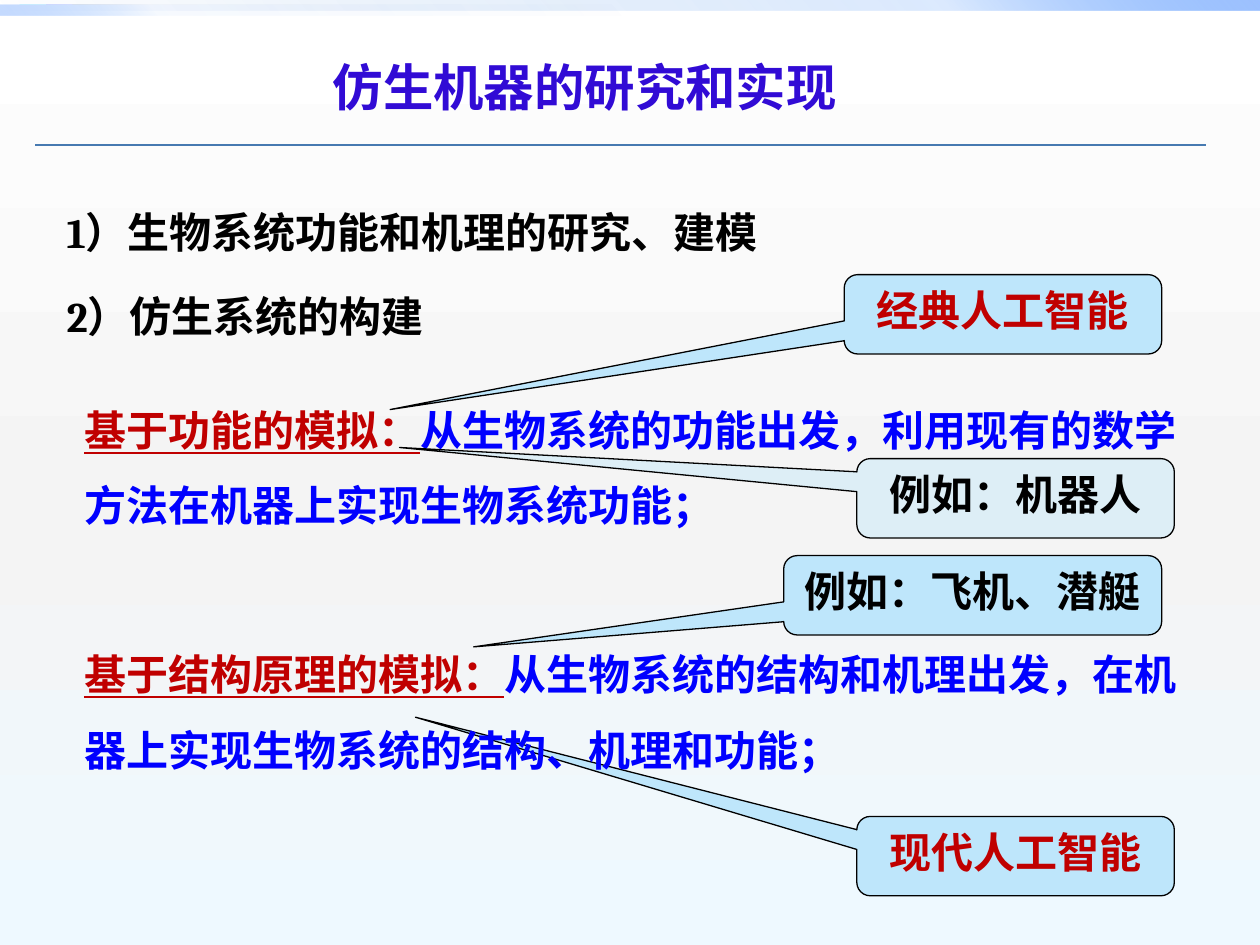
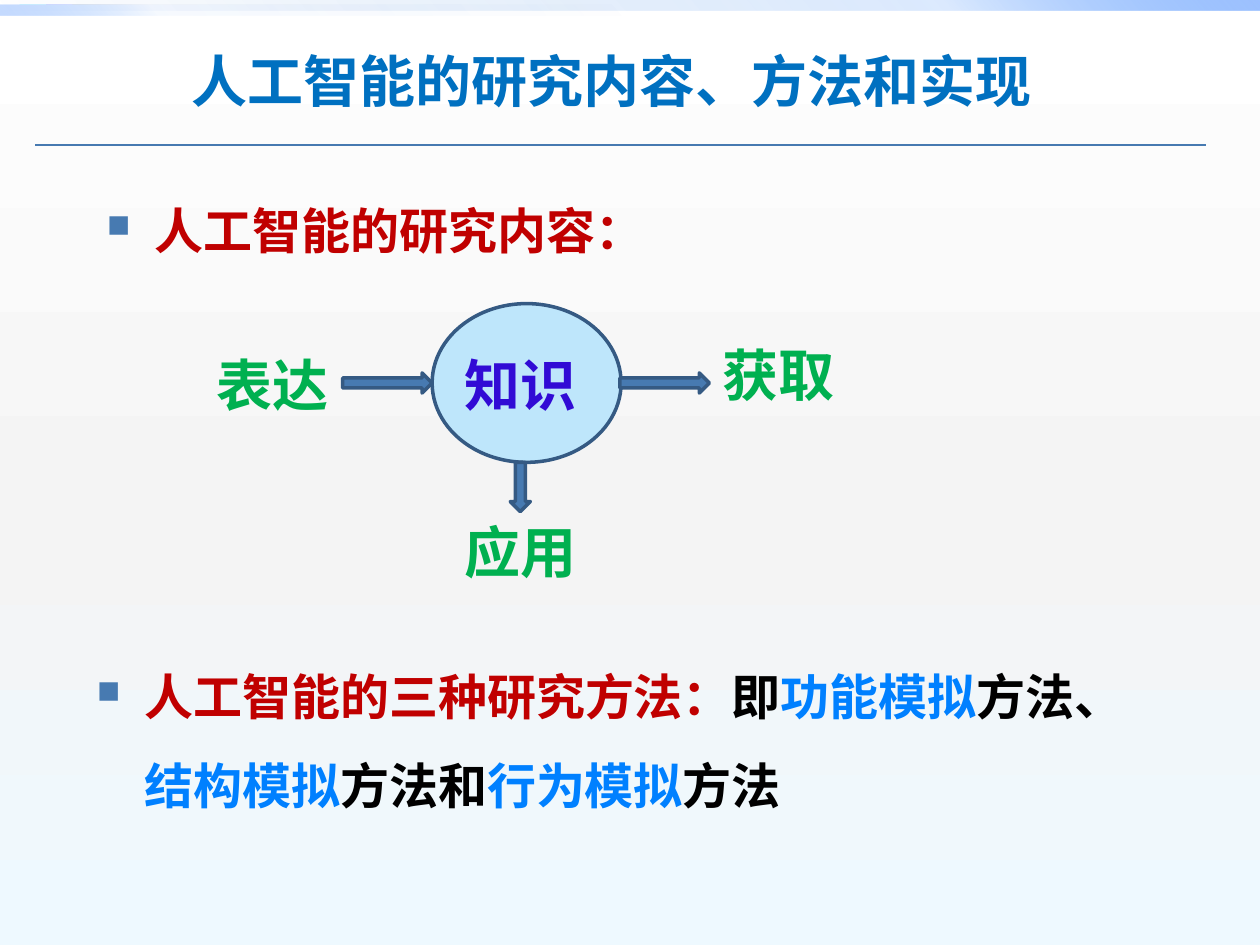
from lxml import etree
from pptx import Presentation
from pptx.dml.color import RGBColor
from pptx.enum.shapes import MSO_CONNECTOR, MSO_SHAPE
from pptx.enum.text import MSO_ANCHOR, PP_ALIGN
from pptx.oxml.ns import qn
from pptx.util import Emu, Inches, Pt

LINE = MSO_CONNECTOR.STRAIGHT
RECT = MSO_SHAPE.RECTANGLE
OVAL = MSO_SHAPE.OVAL
CALLOUT = MSO_SHAPE.ROUNDED_RECTANGULAR_CALLOUT
RIGHT_ARROW = MSO_SHAPE.RIGHT_ARROW
DOWN_ARROW = MSO_SHAPE.DOWN_ARROW
CENTER = PP_ALIGN.CENTER
TOP, MIDDLE = MSO_ANCHOR.TOP, MSO_ANCHOR.MIDDLE

COLS, ROWS = 100, 75
CELL = Inches(0.1)
INDENT = Inches(0.38)

BLACK, RED, BLUE, GREEN = "000000", "C00000", "0000FF", "00B050"
INDIGO, AZURE, SKY = "310BD5", "0070C0", "0080FF"
PALE, STEEL, NAVY = "BEE6FB", "477AB1", "355A83"
HEAD_FONT, BODY_FONT, LIST_FONT = "Noto Sans CJK SC", "Cambria", "Arial"

PAGE_STOPS = [(0, "FFFFFF", 100), (55, "F4F4F4", 100), (100, "EEF9FF", 100)]
BANDS = [
    ((0, 0, COLS, 0.8), 315, (0, 20, 100)),
    ((0, 0.4, COLS / 2, 0.8), 135, (0, 5, 60)),
]


def rgb(value):
    """Turn a hex string into a colour."""
    return RGBColor.from_string(value)


def grid(*cells):
    """Turn grid cells into lengths."""
    return [Emu(round(c * CELL)) for c in cells]


def child(parent, tag, **attrs):
    """Append a drawing element with attributes."""
    el = etree.SubElement(parent, qn(tag))
    for name, value in attrs.items():
        el.set(name, str(value))
    return el


def set_alpha(color_el, percent):
    """Give a colour element its opacity."""
    child(color_el, "a:alpha", val=percent * 1000)


def set_gradient(fill, owner, stops, angle):
    """Fill with stops of position, colour and opacity."""
    fill.gradient()
    grad = owner.find(".//" + qn("a:gradFill"))
    for old in list(grad):
        grad.remove(old)
    stop_list = child(grad, "a:gsLst")
    for pos, color, alpha in stops:
        stop = child(stop_list, "a:gs", pos=pos * 1000)
        set_alpha(child(stop, "a:srgbClr", val=color), alpha)
    child(grad, "a:lin", ang=angle * 60000, scaled=0)


def add_shape(s, kind, cells, fill=None, line=None, width=0.75, alpha=100):
    """Add a flat preset shape."""
    sp = s.shapes.add_shape(kind, *grid(*cells))
    sp.shadow.inherit = False
    if fill:
        sp.fill.solid()
        sp.fill.fore_color.rgb = rgb(fill)
        if alpha < 100:
            set_alpha(sp._element.spPr.find(".//" + qn("a:srgbClr")), alpha)
    if line:
        sp.line.color.rgb = rgb(line)
        sp.line.width = Pt(width)
    else:
        sp.line.fill.background()
    return sp


def write(tf, paragraphs, size=24, font=BODY_FONT, align=None, anchor=TOP,
          spacing=None, hanging=False, bullet=False):
    """Write paragraphs made of (text, colour, underline) runs."""
    tf.word_wrap = True
    tf.vertical_anchor = anchor
    for i, runs in enumerate(paragraphs):
        p = tf.add_paragraph() if i else tf.paragraphs[0]
        p.alignment = align
        p.line_spacing = spacing
        if hanging:
            p.space_before = Pt(size * 0.2)
            pPr = p._p.get_or_add_pPr()
            pPr.set("marL", str(INDENT))
            pPr.set("indent", str(-INDENT))
            if bullet:
                child(child(pPr, "a:buClr"), "a:srgbClr", val=STEEL)
                child(pPr, "a:buSzPct", val=65000)
                child(pPr, "a:buChar", char="■")
        for text, color, *underline in runs:
            r = p.add_run()
            r.text = text
            r.font.name = font
            r.font.size = Pt(size)
            r.font.bold = True
            r.font.underline = bool(underline)
            r.font.color.rgb = rgb(color)


def add_text(s, cells, paragraphs, **fmt):
    """Add a text box."""
    write(s.shapes.add_textbox(*grid(*cells)).text_frame, paragraphs, **fmt)


def add_callout(s, cells, tail, text, color, alpha=100):
    """Add a rounded callout whose tail is given in shares of its size."""
    sp = add_shape(s, CALLOUT, cells, PALE, BLACK, alpha=alpha)
    for i, value in enumerate((*tail, 0.17)):
        sp.adjustments[i] = value
    write(sp.text_frame, [[(text, color)]], align=CENTER)


def add_slide(prs, title, cells, size, color):
    """Add a slide with background, bands, title and rule."""
    s = prs.slides.add_slide(prs.slide_layouts[6])
    set_gradient(s.background.fill, s._element, PAGE_STOPS, 90)
    for band, angle, alphas in BANDS:
        sp = add_shape(s, RECT, band)
        stops = zip((0, 75, 100), ("0058B7", "4F95FF", "9EC2FF"), alphas)
        set_gradient(sp.fill, sp._element.spPr, stops, angle)
    add_text(s, cells, [[(title, color)]], size=size, font=HEAD_FONT,
             align=CENTER, anchor=MIDDLE)
    rule = s.shapes.add_connector(LINE, *grid(2.8, 11.5, 95.7, 11.5))
    rule.line.color.rgb = rgb(STEEL)
    rule.line.width = Pt(1)
    child(rule._element.spPr, "a:effectLst")
    return s


def build_bionic_machines(prs):
    """Build the slide on bionic machines."""
    s = add_slide(prs, "仿生机器的研究和实现", (17.7, 3.6, 57.4, 6.5), 28.8, INDIGO)
    steps = ["1）生物系统功能和机理的研究、建模", "2）仿生系统的构建"]
    add_text(s, (4.3, 13.9, 90, 15.7), [[(step, BLACK)] for step in steps],
             spacing=1.5, hanging=True)
    add_callout(s, (67, 21.8, 25.2, 6.3), (-1.93, 1.2), "经典人工智能", RED)
    add_callout(s, (68, 64.8, 25.2, 6.3), (-1.89, -1.75), "现代人工智能", RED)
    simulations = [
        (29.6, "基于功能的模拟：",
         "从生物系统的功能出发，利用现有的数学方法在机器上实现生物系统功能；"),
        (49, "基于结构原理的模拟：",
         "从生物系统的结构和机理出发，在机器上实现生物系统的结构、机理和功能；"),
    ]
    for top, name, meaning in simulations:
        add_text(s, (5.7, top, 89.9, 13.1),
                 [[(name, RED, True), (meaning, BLUE)]], spacing=1.5)
    add_callout(s, (68, 36.4, 25.2, 6.3), (-1.94, -0.64), "例如：机器人", BLACK,
                alpha=42)
    add_callout(s, (62.2, 44.1, 30, 6.3), (-1.32, 0.65), "例如：飞机、潜艇", BLACK)


def build_research_content(prs):
    """Build the slide on research content and methods."""
    s = add_slide(prs, "人工智能的研究内容、方法和实现", (13.2, 3.1, 70.7, 6.5), 32,
                  AZURE)
    methods = [
        ("人工智能的三种研究方法：", RED), ("即", BLACK), ("功能模拟", SKY),
        ("方法、", BLACK), ("结构模拟", SKY), ("方法和", BLACK),
        ("行为模拟", SKY), ("方法", BLACK),
    ]
    points = [
        ((7.5, 13.1, 82, 7.9), [("人工智能的研究内容：", RED)]),
        ((6.7, 50.1, 82, 15.7), methods),
    ]
    for cells, runs in points:
        add_text(s, cells, [runs], size=28, font=LIST_FONT, spacing=1.5,
                 hanging=True, bullet=True)
    add_shape(s, OVAL, (34.3, 24.1, 15, 12.6), PALE, NAVY, 2)
    words = [
        ("知识", 35.8, 27.3, INDIGO), ("表达", 16.1, 27.3, GREEN),
        ("获取", 56.3, 26.5, GREEN), ("应用", 35.8, 40.6, GREEN),
    ]
    for word, left, top, color in words:
        add_text(s, (left, top, 11, 6.4), [[(word, color)]], size=32, align=CENTER)
    arrows = [
        (RIGHT_ARROW, (27.2, 29.6, 7.1, 1.6)),
        (RIGHT_ARROW, (49.2, 29.6, 7.1, 1.6)),
        (DOWN_ARROW, (40.5, 36.7, 1.6, 3.9)),
    ]
    for kind, cells in arrows:
        add_shape(s, kind, cells, STEEL, NAVY, 2)


def main():
    """Build and save both slides."""
    prs = Presentation()
    prs.slide_width, prs.slide_height = grid(COLS, ROWS)
    build_bionic_machines(prs)
    build_research_content(prs)
    prs.save("out.pptx")


if __name__ == "__main__":
    main()
